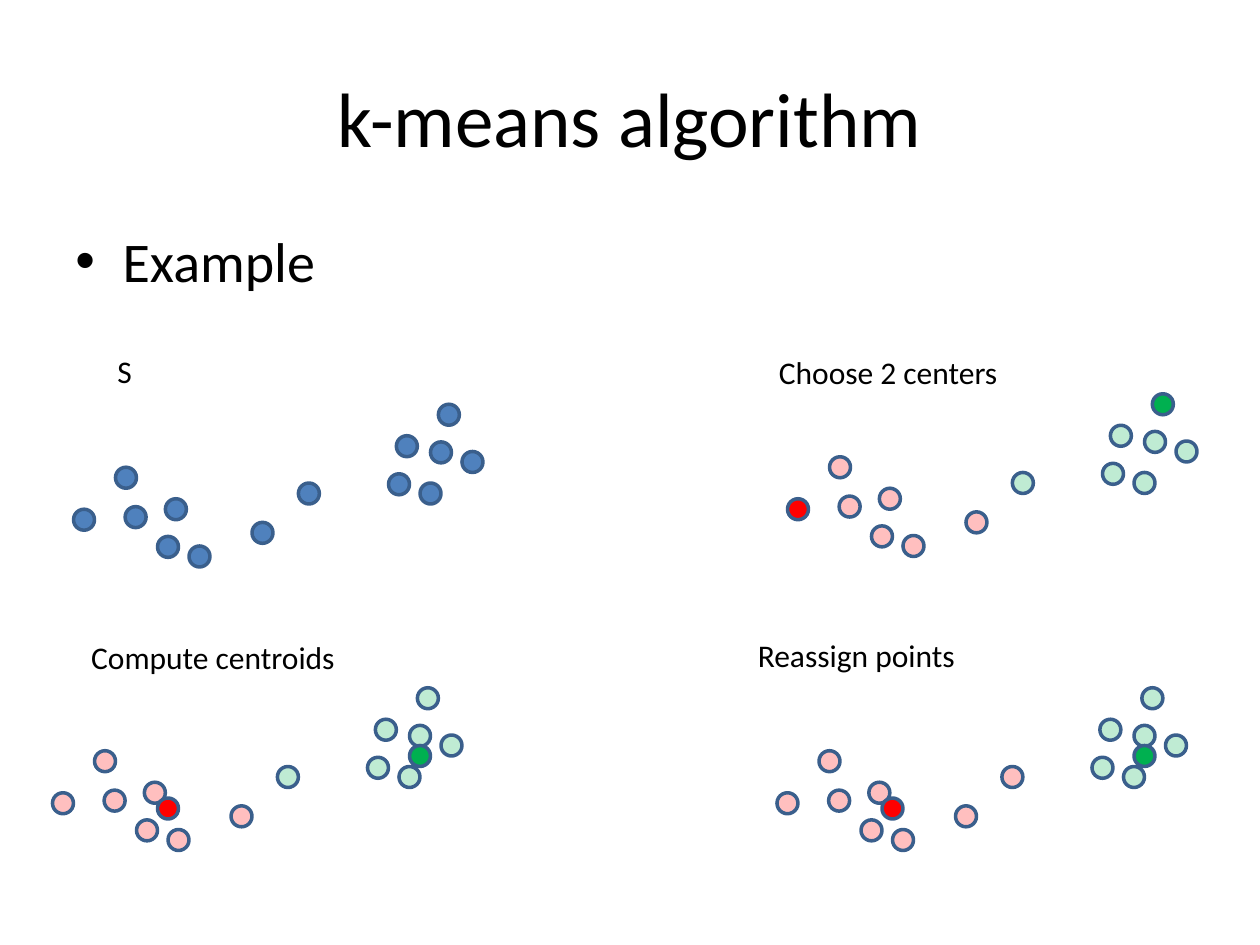
from lxml.etree import SubElement
from pptx import Presentation
from pptx.dml.color import RGBColor
from pptx.enum.shapes import MSO_SHAPE
from pptx.enum.text import MSO_ANCHOR, MSO_AUTO_SIZE, PP_ALIGN
from pptx.oxml.ns import qn
from pptx.util import Pt

COLORS = {"text": "000000", "outline": "3A5F8C",
          "B": "4F81BD", "R": "FF0000", "G": "00B050"}

# Dot offsets from the top left of each panel's point cloud
POINTS = [(24, 36), (0, 60), (29.5, 58.5), (180, 39.75), (184.5, 18),
          (198, 45), (204, 21.5), (208.5, 0), (222, 27), (48, 75.5),
          (52.5, 54), (66, 81), (128.5, 45), (102, 67.5)]
CENTROIDS = [(204, 33), (60, 63)]

# Label, label box, cloud origin, one letter per dot:
# capital = solid colour, small = the same colour made transparent
PANELS = [
    ("S", (60, 197.5, 23), (42, 231), "BBBBBBBBBBBBBB"),
    ("Choose 2 centers", (438, 198, 141), (450, 225), "rRrggggGgrrrgr"),
    ("Compute centroids", (45, 361, 156), (30, 393), "rrrggggggrrrgrGR"),
    ("Reassign points", (426, 360, 128), (444, 393), "rrrggggggrrrrrGR"),
]


class Deck:
    font = "Calibri"
    dot_size = 12

    def __init__(self, s):
        self.s = s

    def add_text(self, p, text, size):
        r = p.add_run()
        r.text = text
        r.font.name = self.font
        r.font.size = Pt(size)
        r.font.color.rgb = RGBColor.from_string(COLORS["text"])

    def title(self, text, x, y, w, h):
        sp = self.s.shapes.title
        sp.left, sp.top, sp.width, sp.height = Pt(x), Pt(y), Pt(w), Pt(h)
        tf = sp.text_frame
        tf.vertical_anchor = MSO_ANCHOR.MIDDLE
        p = tf.paragraphs[0]
        p.alignment = PP_ALIGN.CENTER
        self.add_text(p, text, 44)

    def textbox(self, x, y, w, h):
        return self.s.shapes.add_textbox(Pt(x), Pt(y), Pt(w), Pt(h)).text_frame

    def bullet(self, text, x, y, w, h, indent=27):
        tf = self.textbox(x, y, w, h)
        tf.word_wrap = True
        p = tf.paragraphs[0]
        pPr = p._p.get_or_add_pPr()
        pPr.set("marL", str(Pt(indent)))
        pPr.set("indent", str(-Pt(indent)))
        SubElement(pPr, qn("a:buFont"), typeface="Arial")
        SubElement(pPr, qn("a:buChar"), char="•")
        self.add_text(p, text, 32)

    def label(self, text, x, y, w):
        tf = self.textbox(x, y, w, 29)
        tf.word_wrap = False
        tf.auto_size = MSO_AUTO_SIZE.SHAPE_TO_FIT_TEXT
        self.add_text(tf.paragraphs[0], text, 18)

    def dot(self, x, y, group):
        size = Pt(self.dot_size)
        sp = self.s.shapes.add_shape(MSO_SHAPE.OVAL, Pt(x), Pt(y), size, size)
        sp.shadow.inherit = False
        sp.fill.solid()
        sp.fill.fore_color.rgb = RGBColor.from_string(COLORS[group.upper()])
        if group.islower():
            clr = sp._element.spPr.find(qn("a:solidFill")).find(qn("a:srgbClr"))
            SubElement(clr, qn("a:alpha"), val="25000")
        sp.line.color.rgb = RGBColor.from_string(COLORS["outline"])
        sp.line.width = Pt(2)

    def cloud(self, origin, groups):
        for (dx, dy), group in zip(POINTS + CENTROIDS, groups):
            self.dot(origin[0] + dx, origin[1] + dy, group)


def main():
    prs = Presentation()
    prs.slide_width, prs.slide_height = Pt(720), Pt(540)
    deck = Deck(prs.slides.add_slide(prs.slide_layouts[5]))
    deck.title("k-means algorithm", 36, 21.6, 648, 90)
    deck.bullet("Example", 36, 126, 648, 356.4)
    for text, box, origin, groups in PANELS:
        deck.cloud(origin, groups)
        deck.label(text, *box)
    prs.save("out.pptx")


if __name__ == "__main__":
    main()
